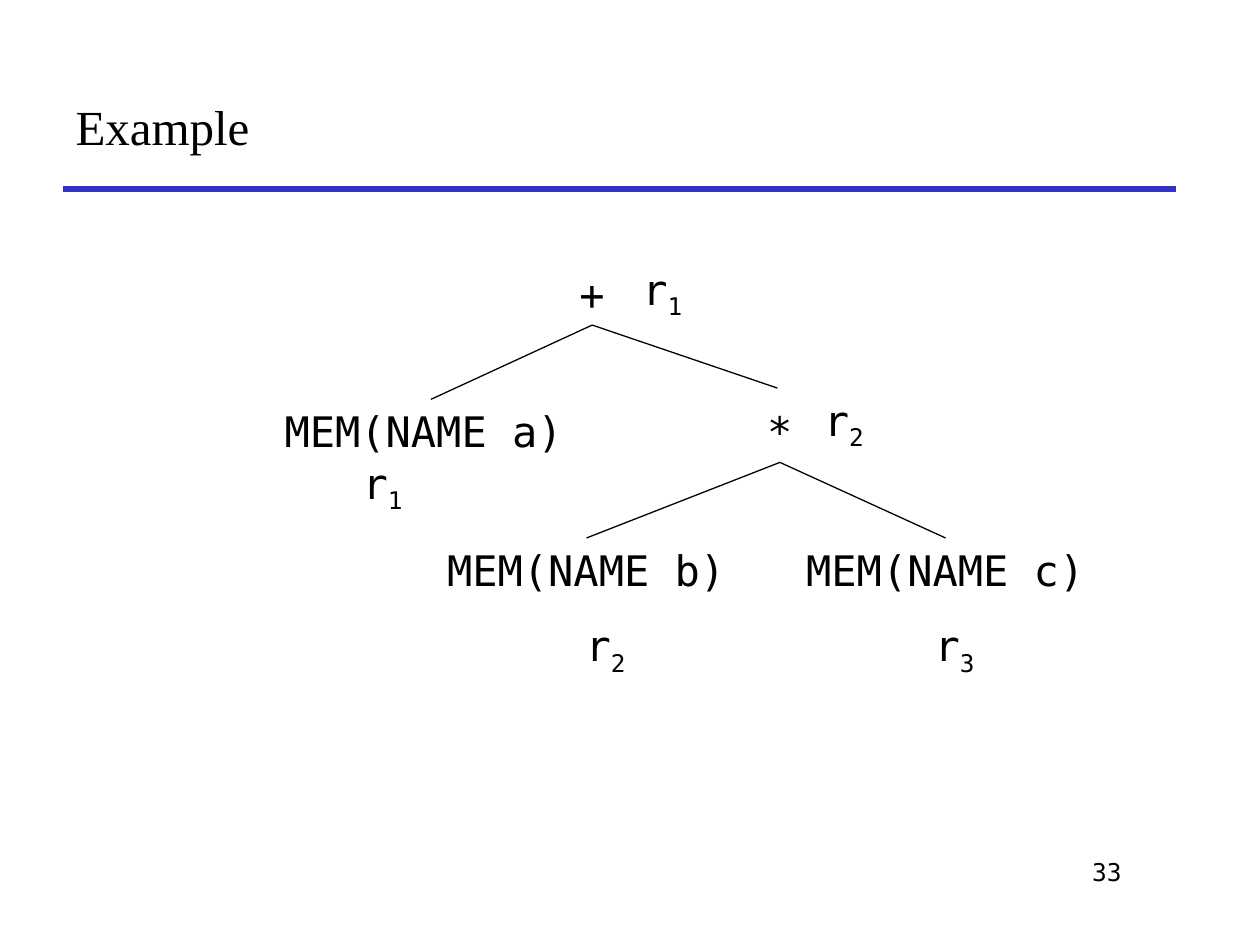
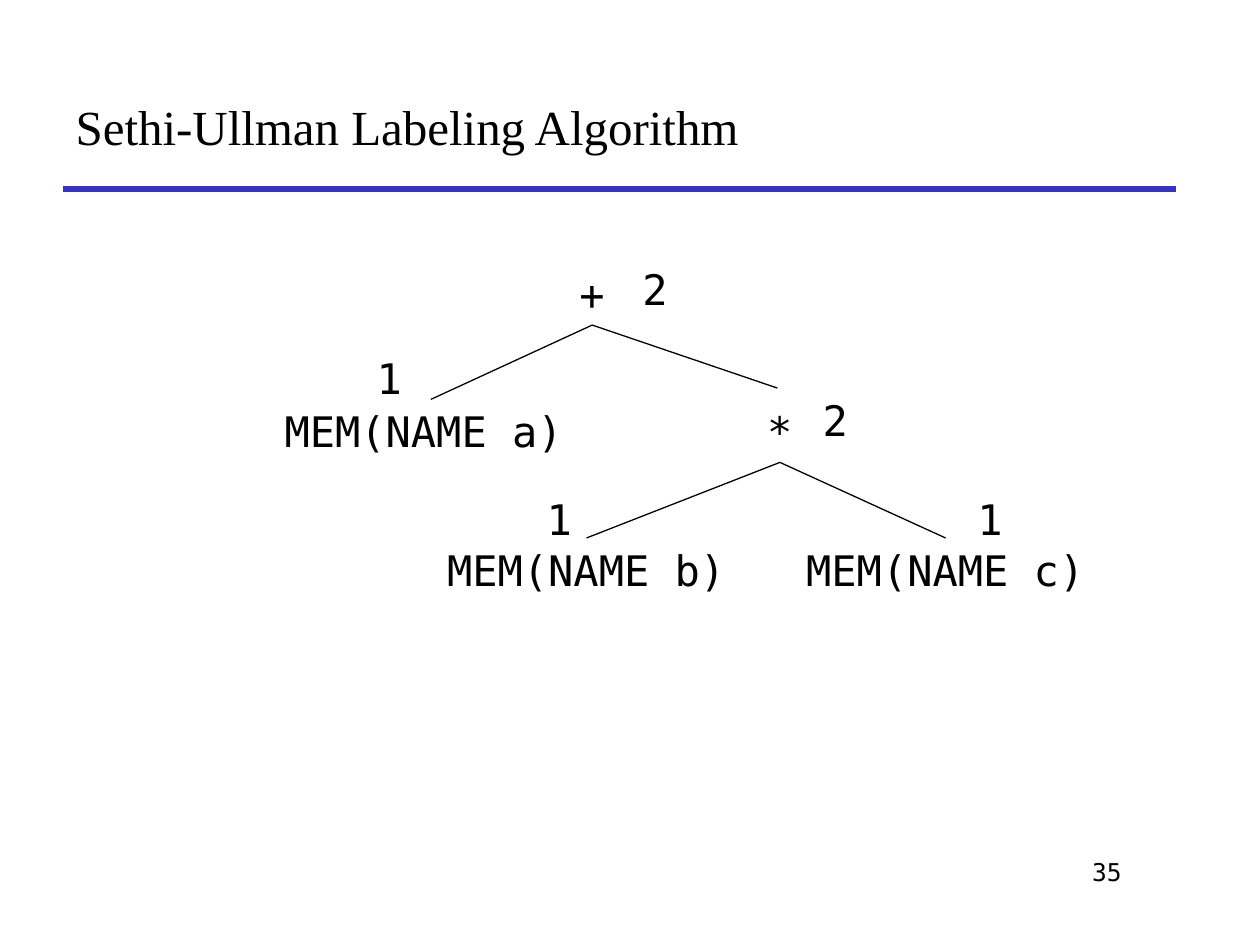
from pptx import Presentation
from pptx.dml.color import RGBColor
from pptx.enum.shapes import MSO_CONNECTOR
from pptx.enum.text import MSO_ANCHOR, MSO_AUTO_SIZE, PP_ALIGN
from pptx.util import Inches, Pt
from lxml import etree

COLORS = {"text": "000000", "rule": "3333CC"}
MONO, SERIF = "DejaVu Sans Mono", "Times New Roman"
DRAWING_NS = "http://schemas.openxmlformats.org/drawingml/2006/main"
TOP, BOTTOM = 0, 2

# Tree nodes: text, left, top, width
NODES = {
    "plus": ("+", 4.5, 2.08, 0.4),
    "a": ("MEM(NAME a)", 2.16, 3.17, 2.41),
    "times": ("*", 5.99, 3.17, 0.4),
    "b": ("MEM(NAME b)", 3.45, 4.27, 2.41),
    "c": ("MEM(NAME c)", 6.3, 4.27, 2.41),
}
# Tree edges: parent, child, end point, whether the end meets the child's box
EDGES = [
    ("plus", "a", (3.42, 3.17), False),
    ("plus", "times", (6.17, 3.08), False),
    ("times", "b", (4.65, 4.27), True),
    ("times", "c", (7.5, 4.27), True),
]
# Slides: title, page number, labels as (text, left, top); "_" starts a subscript
SLIDES = [
    ("Example", "33", [
        ("r_1", 2.78, 3.58), ("r_2", 4.55, 4.87), ("r_3", 7.32, 4.87),
        ("r_2", 6.44, 3.08), ("r_1", 5, 2.04)]),
    ("Sethi-Ullman Labeling Algorithm", "35", [
        ("1", 2.89, 2.75), ("1", 4.24, 3.87), ("1", 7.66, 3.87),
        ("2", 6.43, 3.08), ("2", 5, 2.04)]),
]


def write(tf, text, size=24, font=MONO, color="text", align=PP_ALIGN.LEFT):
    p = tf.paragraphs[0]
    p.alignment = align
    base, _, subscript = text.partition("_")
    for part in filter(None, (base, subscript)):
        r = p.add_run()
        r.text = part
        r.font.size = Pt(size)
        r.font.name = font
        r.font.color.rgb = RGBColor.from_string(COLORS[color])
    if subscript:
        r.font._element.set("baseline", "-25000")


def add_text(s, text, left, top, width, height=0.5, wrap=False, **fmt):
    box = s.shapes.add_textbox(Inches(left), Inches(top), Inches(width), Inches(height))
    tf = box.text_frame
    tf.word_wrap = wrap
    tf.auto_size = MSO_AUTO_SIZE.NONE if wrap else MSO_AUTO_SIZE.SHAPE_TO_FIT_TEXT
    write(tf, text, **fmt)
    return box


def add_line(s, start, end, color="text", width=0.75):
    line = s.shapes.add_connector(
        MSO_CONNECTOR.STRAIGHT, *(Inches(v) for v in (*start, *end)))
    line.line.color.rgb = RGBColor.from_string(COLORS[color])
    line.line.width = Pt(width)
    etree.SubElement(line._element.spPr, f"{{{DRAWING_NS}}}effectLst")
    return line


def add_frame(prs, title, page):
    """Slide with its title, rule and page number."""
    s = prs.slides.add_slide(prs.slide_layouts[5])
    add_line(s, (0.5, 1.5), (9.33, 1.5), color="rule", width=3)
    add_text(s, page, 6.92, 6.75, 2.08, wrap=True, size=14, align=PP_ALIGN.RIGHT)
    head = s.shapes.title
    head.left, head.top = Inches(0.5), Inches(0.5)
    head.width, head.height = Inches(8.83), Inches(1)
    head.text_frame.vertical_anchor = MSO_ANCHOR.MIDDLE
    write(head.text_frame, title, size=28, font=SERIF)
    return s


def add_tree(s):
    boxes = {name: add_text(s, *node) for name, node in NODES.items()}
    for parent, child, end, joined in EDGES:
        _, left, top, width = NODES[parent]
        line = add_line(s, (left + width / 2, top + 0.5), end)
        line.begin_connect(boxes[parent], BOTTOM)
        if joined:
            line.end_connect(boxes[child], TOP)


def add_labels(s, labels):
    for text, left, top in labels:
        # A subscripted label needs room for both characters on one line
        width, height = (0.54, 0.56) if "_" in text else (0.4, 0.5)
        add_text(s, text, left, top, width, height)


def main():
    prs = Presentation()
    prs.slide_width, prs.slide_height = Inches(10), Inches(7.5)
    for title, page, labels in SLIDES:
        s = add_frame(prs, title, page)
        add_tree(s)
        add_labels(s, labels)
    prs.save("out.pptx")


if __name__ == "__main__":
    main()
